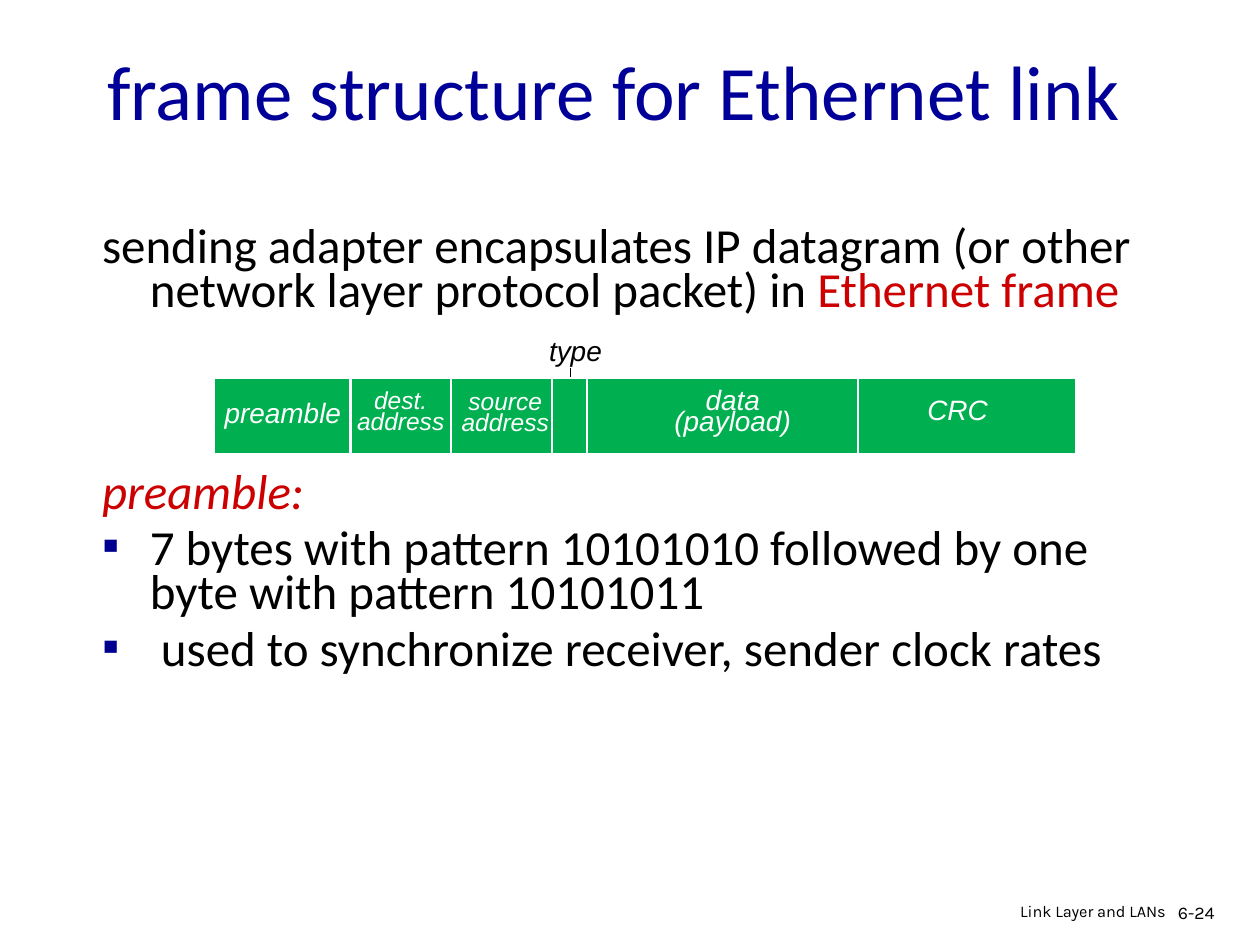
"""Builds a slide on the Ethernet frame structure."""
from lxml import etree
from pptx import Presentation
from pptx.dml.color import RGBColor
from pptx.enum.shapes import MSO_CONNECTOR, MSO_SHAPE
from pptx.enum.text import MSO_ANCHOR, MSO_AUTO_SIZE, PP_ALIGN
from pptx.oxml.ns import qn
from pptx.util import Inches, Pt

LEFT, MID, RIGHT = PP_ALIGN.LEFT, PP_ALIGN.CENTER, PP_ALIGN.RIGHT
CENTER, TOP = MSO_ANCHOR.MIDDLE, MSO_ANCHOR.TOP
FIXED = MSO_AUTO_SIZE.NONE
RECT = MSO_SHAPE.RECTANGLE
LINE = MSO_CONNECTOR.STRAIGHT

COLORS = {
    "title": "000099",
    "text": "000000",
    "key": "CC0000",
    "mark": "000090",
    "frame": "00B050",
    "light": "FFFFFF",
}


class Deck:
    """Holds the style and the current slide."""

    def __init__(self):
        self.prs = Presentation()
        self.prs.slide_width = Inches(10)
        self.prs.slide_height = Inches(7.5)
        self.slide = self.prs.slides.add_slide(self.prs.slide_layouts[1])

    def color(self, name):
        return RGBColor.from_string(COLORS[name])

    def run(self, para, text, size, color="text", face="Calibri", slant=False):
        run = para.add_run()
        run.text = text
        font = run.font
        font.name, font.size, font.italic = face, Pt(size), slant
        font.color.rgb = self.color(color)

    def holder(self, index, box, anchor):
        shape = self.slide.placeholders[index]
        shape.left, shape.top, shape.width, shape.height = map(Inches, box)
        frame = shape.text_frame
        frame.auto_size, frame.word_wrap = FIXED, True
        frame.vertical_anchor = anchor
        return frame

    def title(self, text, box):
        para = self.holder(0, box, CENTER).paragraphs[0]
        para.alignment = LEFT
        self.run(para, text, 44, "title")

    def bullet(self, para, mark):
        props = para._p.get_or_add_pPr()
        props.set("marL", str(Inches(0.38)))
        props.set("indent", str(Inches(-0.38)))
        if not mark:
            etree.SubElement(props, qn("a:buNone"))
            return
        tint = etree.SubElement(props, qn("a:buClr"))
        etree.SubElement(tint, qn("a:srgbClr"), val=COLORS["mark"])
        etree.SubElement(props, qn("a:buFont"), typeface="Arial")
        etree.SubElement(props, qn("a:buChar"), char=mark)

    def body(self, items, box):
        frame = self.holder(1, box, TOP)
        for num, (mark, gap, runs) in enumerate(items):
            para = frame.add_paragraph() if num else frame.paragraphs[0]
            self.bullet(para, mark)
            para.line_spacing, para.space_before = 0.75, Pt(gap)
            for text, color, slant in runs:
                self.run(para, text, 28, color, slant=slant)

    def text(self, lines, box, size, color="text", face="Arial",
             align=MID, space=Pt(12), slant=True):
        shape = self.slide.shapes.add_textbox(*map(Inches, box))
        frame = shape.text_frame
        frame.word_wrap = True
        for num, line in enumerate(lines):
            para = frame.add_paragraph() if num else frame.paragraphs[0]
            para.alignment, para.line_spacing = align, space
            self.run(para, line, size, color, face, slant)

    def rect(self, box):
        shape = self.slide.shapes.add_shape(RECT, *map(Inches, box))
        shape.shadow.inherit = False
        shape.fill.solid()
        shape.fill.fore_color.rgb = self.color("frame")
        shape.line.color.rgb = self.color("light")
        shape.line.width = Pt(0.75)

    def rule(self, x, top, end, color, width):
        line = self.slide.shapes.add_connector(
            LINE, Inches(x), Inches(top), Inches(x), Inches(end))
        line.line.color.rgb = self.color(color)
        line.line.width = Pt(width)
        etree.SubElement(line._element.spPr, qn("a:effectLst"))

    def save(self):
        self.prs.save("out.pptx")


def main():
    deck = Deck()
    deck.title("frame structure for Ethernet link", (0.75, 0.38, 8.5, 0.67))
    deck.body([
        ("", 0, [("sending adapter encapsulates IP datagram (or other network "
                  "layer protocol packet) in ", "text", False),
                 ("Ethernet frame", "key", False)]),
        ("", 90, [("preamble:", "key", True)]),
        ("▪", 7, [("7 bytes with pattern 10101010 followed by one byte with "
                   "pattern 10101011", "text", False)]),
        ("▪", 7, [(" used to synchronize receiver, sender clock rates",
                   "text", False)]),
    ], (0.71, 1.76, 8.5, 4.75))

    deck.rule(4.53, 2.92, 3.14, "text", 0.75)
    deck.rect((1.7, 3, 6.84, 0.6))
    for x in (2.78, 3.58, 4.38, 4.66, 6.81):
        deck.rule(x, 3, 3.6, "light", 1.5)

    fields = [
        (["dest.", "address"], (2.72, 3.07, 0.92, 0.44), 14),
        (["source", "address"], (3.55, 3.08, 0.92, 0.44), 14),
        (["data (payload)"], (5.06, 3.09, 1.51, 0.44), 16),
        (["CRC"], (7.13, 3.17, 0.94, 0.27), 16),
        (["preamble"], (1.66, 3.19, 1.17, 0.27), 16),
    ]
    for lines, box, size in fields:
        deck.text(lines, box, size, "light")
    deck.text(["type"], (4.26, 2.6, 0.84, 0.37), 16, align=LEFT, space=1.0)

    deck.text(["6-24"], (9.25, 7.13, 0.6, 0.3), 10.2, face="Karla",
              align=LEFT, space=0.9, slant=False)
    deck.text(["Link Layer and LANs"], (6.97, 7.13, 2.38, 0.26), 9.3,
              face="Karla", align=RIGHT, space=0.8, slant=False)
    deck.save()


if __name__ == "__main__":
    main()
